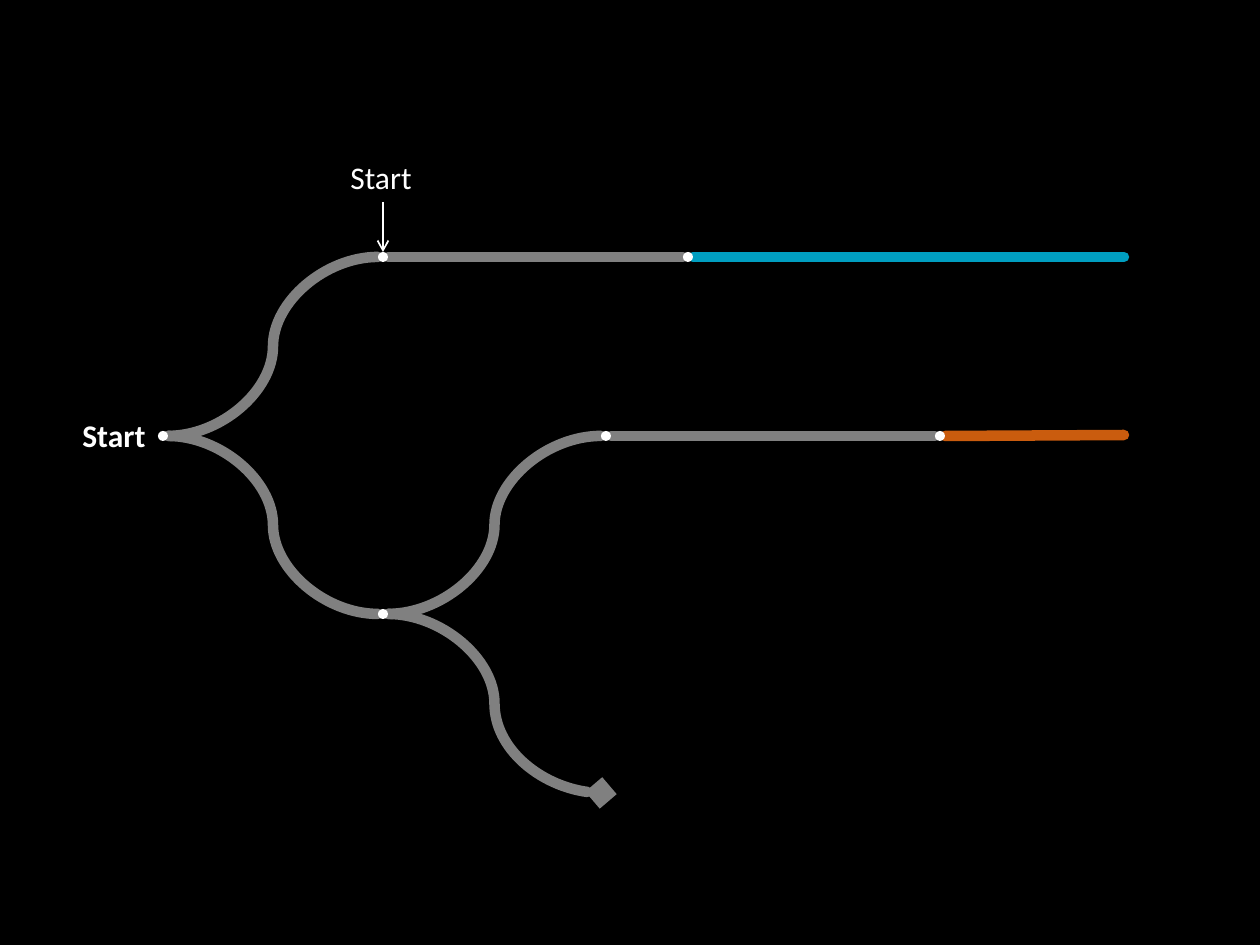
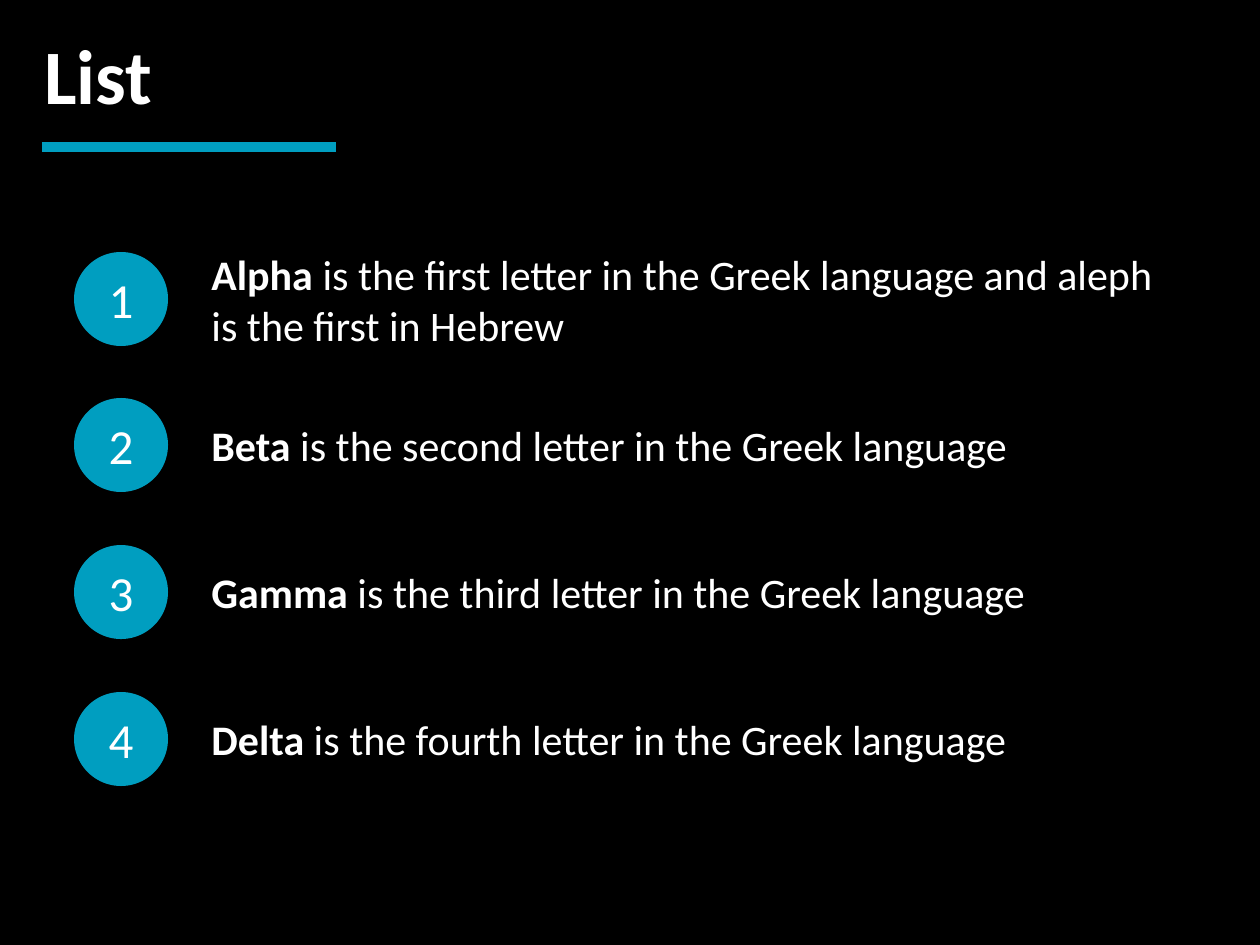
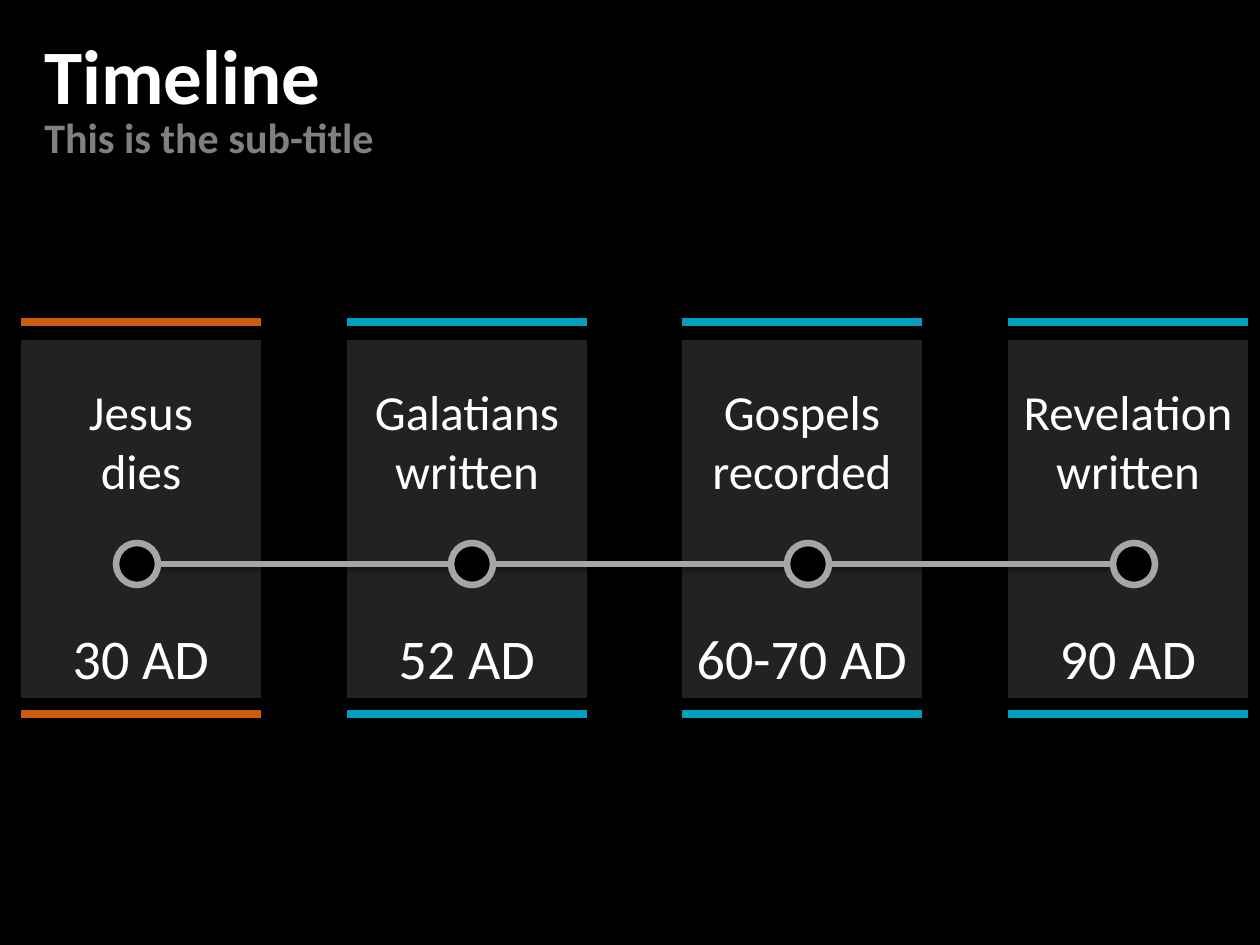
from dataclasses import dataclass

from lxml.etree import SubElement
from pptx import Presentation
from pptx.dml.color import RGBColor
from pptx.enum.shapes import MSO_CONNECTOR, MSO_SHAPE
from pptx.enum.text import MSO_ANCHOR, PP_ALIGN
from pptx.oxml.ns import qn
from pptx.shapes.autoshape import Shape
from pptx.shapes.connector import Connector
from pptx.slide import Slide
from pptx.util import Emu, Pt

# Shared look
PX_PER_INCH = 126
BLACK = RGBColor(0x00, 0x00, 0x00)
WHITE = RGBColor(0xFF, 0xFF, 0xFF)
GRAY = RGBColor(0x80, 0x80, 0x80)
SILVER = RGBColor(0xA6, 0xA6, 0xA6)
CHARCOAL = RGBColor(0x22, 0x22, 0x22)
BLUE = RGBColor(0x00, 0x9E, 0xC0)
ORANGE = RGBColor(0xCA, 0x5C, 0x0E)
FONT = "Calibri"
DOT = 10


@dataclass(frozen=True)
class Station:
    x: int
    y: int
    dotted: bool = True


@dataclass(frozen=True)
class Track:
    start: str
    end: str
    color: RGBColor = GRAY
    curved: bool = False
    tail: str = ""


@dataclass(frozen=True)
class Letter:
    name: str
    description: str


@dataclass(frozen=True)
class Event:
    left: int
    marker_left: int
    label: str
    date: str
    color: RGBColor = BLUE


STATIONS = {
    "root": Station(163, 436),
    "upper": Station(383, 257),
    "upper change": Station(688, 257),
    "upper end": Station(1129, 257, dotted=False),
    "lower": Station(383, 614),
    "middle": Station(606, 436),
    "middle change": Station(940, 436),
    "middle end": Station(1129, 435, dotted=False),
    "dead end": Station(606, 793, dotted=False),
}

TRACKS = [
    Track("root", "upper", curved=True),
    Track("root", "lower", curved=True),
    Track("upper", "upper change"),
    Track("upper change", "upper end", BLUE),
    Track("lower", "middle", curved=True),
    Track("lower", "dead end", curved=True, tail="diamond"),
    Track("middle", "middle change"),
    Track("middle change", "middle end", ORANGE),
]

LETTERS = [
    Letter("Alpha", " is the first letter in the Greek language and aleph is the first in Hebrew"),
    Letter("Beta", " is the second letter in the Greek language"),
    Letter("Gamma", " is the third letter in the Greek language"),
    Letter("Delta", " is the fourth letter in the Greek language"),
]

EVENTS = [
    Event(21, 116, "Jesus\ndies", "30 AD", ORANGE),
    Event(347, 451, "Galatians written", "52 AD"),
    Event(682, 787, "Gospels recorded", "60-70 AD"),
    Event(1008, 1113, "Revelation written", "90 AD"),
]


def px(length: int) -> Emu:
    return Emu(round(length * 914400 / PX_PER_INCH))


# Drawing helpers
def add_page(deck: Presentation) -> Slide:
    page = deck.slides.add_slide(deck.slide_layouts[6])
    page.background.fill.solid()
    page.background.fill.fore_color.rgb = BLACK
    return page


def write(box: Shape, text: str, size: int, color: RGBColor = WHITE,
          bold: bool = False, align: PP_ALIGN = PP_ALIGN.LEFT) -> None:
    box.text_frame.text = text
    for para in box.text_frame.paragraphs:
        para.alignment = align
        for span in para.runs:
            span.font.name = FONT
            span.font.size = Pt(size)
            span.font.bold = bold
            span.font.color.rgb = color


def add_text(page: Slide, left: int, top: int, width: int, height: int,
             text: str, size: int, color: RGBColor = WHITE,
             bold: bool = False, align: PP_ALIGN = PP_ALIGN.LEFT) -> Shape:
    box = page.shapes.add_textbox(px(left), px(top), px(width), px(height))
    box.text_frame.word_wrap = True
    write(box, text, size, color, bold, align)
    return box


def add_title(page: Slide, text: str) -> None:
    add_text(page, 32, 21, 1187, 106, text, 44, bold=True)


def add_block(page: Slide, kind: MSO_SHAPE, left: int, top: int, width: int,
              height: int, fill: RGBColor) -> Shape:
    block = page.shapes.add_shape(kind, px(left), px(top), px(width), px(height))
    block.shadow.inherit = False
    block.fill.solid()
    block.fill.fore_color.rgb = fill
    block.line.fill.background()
    return block


def add_line(page: Slide, x1: int, y1: int, x2: int, y2: int, color: RGBColor,
             width: float, curved: bool = False, cap: str = "flat",
             tail: str = "", shadowed: bool = False) -> Connector:
    kind = MSO_CONNECTOR.CURVE if curved else MSO_CONNECTOR.STRAIGHT
    line = page.shapes.add_connector(kind, px(x1), px(y1), px(x2), px(y2))
    line.line.color.rgb = color
    line.line.width = Pt(width)
    properties = line._element.spPr
    outline = properties.find(qn("a:ln"))
    outline.set("cap", cap)
    if tail:
        SubElement(outline, qn("a:tailEnd"), type=tail)
    effects = SubElement(properties, qn("a:effectLst"))
    if shadowed:
        shadow = SubElement(effects, qn("a:outerShdw"), blurRad=str(Pt(3.1)),
                            dist=str(Pt(1.6)), dir="5400000", rotWithShape="0")
        shade = SubElement(shadow, qn("a:srgbClr"), val=str(BLACK))
        SubElement(shade, qn("a:alpha"), val="38000")
    return line


# Slide 1: branching tracks
def build_tracks(deck: Presentation) -> None:
    page = add_page(deck)
    radius = DOT // 2
    for track in TRACKS:
        start, end = STATIONS[track.start], STATIONS[track.end]
        add_line(page, start.x + radius, start.y, end.x - radius, end.y,
                 track.color, 6, track.curved, "rnd", track.tail)
    dots = {
        name: add_block(page, MSO_SHAPE.OVAL, station.x - radius,
                        station.y - radius, DOT, DOT, WHITE)
        for name, station in STATIONS.items() if station.dotted
    }
    add_text(page, 70, 410, 90, 50, "Start", 18, bold=True)
    label = add_text(page, 338, 152, 90, 50, "Start", 18)
    arrow = add_line(page, 383, 202, 383, 252, WHITE, 1, tail="arrow")
    arrow.begin_connect(label, 2)
    arrow.end_connect(dots["upper"], 0)


# Slide 2: numbered list
def build_list(deck: Presentation) -> None:
    page = add_page(deck)
    add_title(page, "List")
    add_line(page, 42, 147, 336, 147, BLUE, 6)
    first_top, last_top, size = 252, 692, 94
    for index, letter in enumerate(LETTERS):
        top = first_top + (last_top - first_top) * index // (len(LETTERS) - 1)
        badge = add_block(page, MSO_SHAPE.OVAL, 74, top, size, size, BLUE)
        badge.text_frame.vertical_anchor = MSO_ANCHOR.MIDDLE
        write(badge, str(index + 1), 28, align=PP_ALIGN.CENTER)
        box = add_text(page, 199, top, 977, size, letter.name, 24, bold=True)
        box.text_frame.vertical_anchor = MSO_ANCHOR.MIDDLE
        span = box.text_frame.paragraphs[0].add_run()
        span.text = letter.description
        span.font.name = FONT
        span.font.size = Pt(24)
        span.font.color.rgb = WHITE


# Slide 3: timeline
def build_timeline(deck: Presentation) -> None:
    page = add_page(deck)
    card_width, marker_size, axis_y = 240, 42, 564
    for event in EVENTS:
        add_block(page, MSO_SHAPE.RECTANGLE, event.left, 340, card_width, 358, CHARCOAL)
        for bar_y in (322, 714):
            add_line(page, event.left, bar_y, event.left + card_width, bar_y,
                     event.color, 4.25)
        add_text(page, event.left, 617, card_width, 81, event.date, 32,
                 align=PP_ALIGN.CENTER)
        add_text(page, event.left, 375, card_width, 131, event.label, 28,
                 align=PP_ALIGN.CENTER)
    add_line(page, EVENTS[0].marker_left + marker_size, axis_y,
             EVENTS[-1].marker_left, axis_y, SILVER, 3.75, shadowed=True)
    for event in EVENTS:
        marker = add_block(page, MSO_SHAPE.OVAL, event.marker_left,
                           axis_y - marker_size // 2, marker_size, marker_size, BLACK)
        marker.line.color.rgb = SILVER
        marker.line.width = Pt(3.75)
    add_title(page, "Timeline")
    add_text(page, 32, 105, 1187, 63, "This is the sub-title", 24, GRAY, bold=True)


def main() -> None:
    deck = Presentation()
    deck.slide_width, deck.slide_height = px(1260), px(945)
    build_tracks(deck)
    build_list(deck)
    build_timeline(deck)
    deck.save("out.pptx")


if __name__ == "__main__":
    main()
